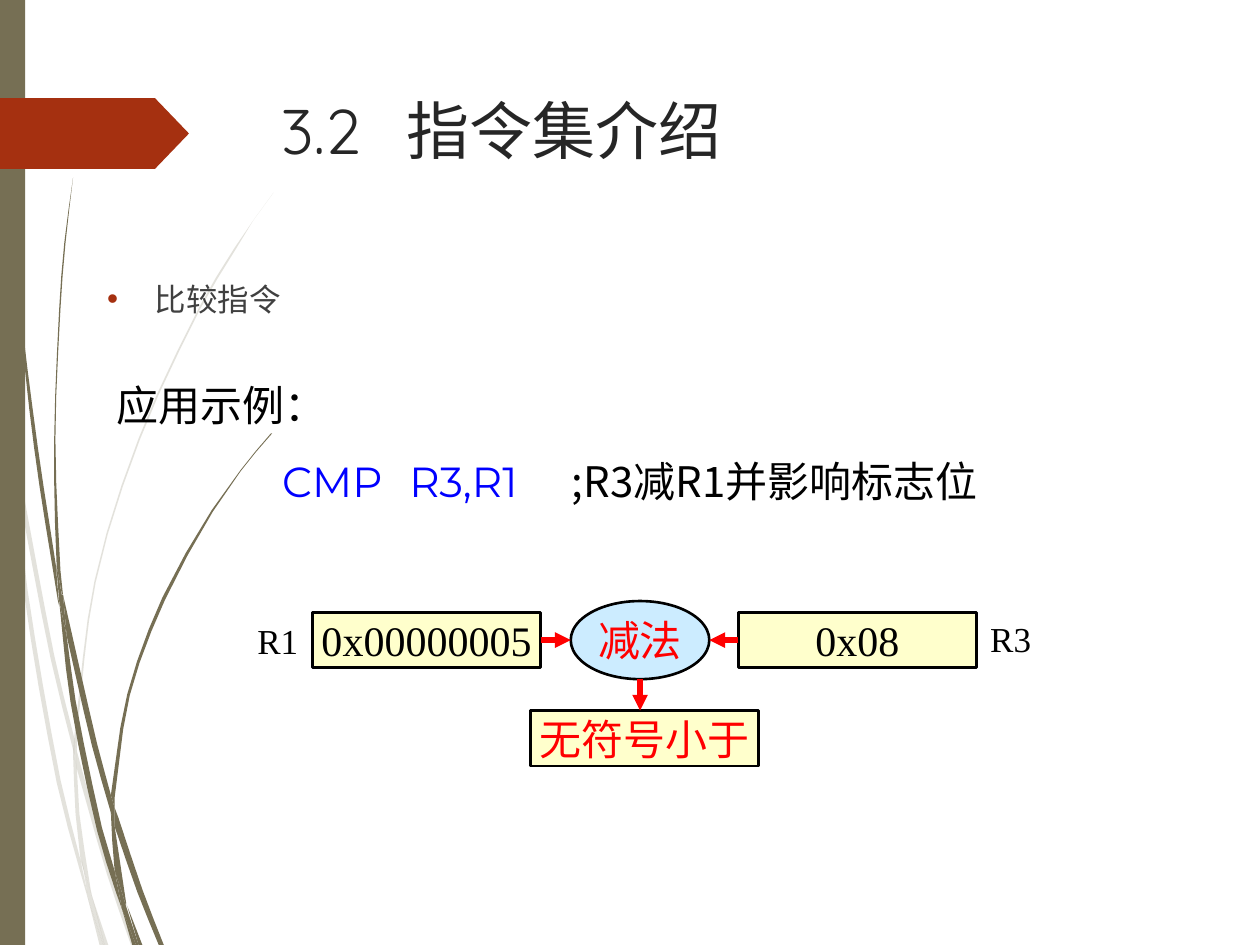
import lxml.etree
import pptx
import pptx.dml.color
import pptx.enum.shapes
import pptx.enum.text
import pptx.oxml
import pptx.oxml.ns
import pptx.util

Pt = pptx.util.Pt
qn = pptx.oxml.ns.qn
KIND = pptx.enum.shapes.MSO_SHAPE
ALIGN = pptx.enum.text.PP_ALIGN
ANCHOR = pptx.enum.text.MSO_ANCHOR
HUES = {"olive": "766F54", "rust": "A53010", "cream": "FFFFCC", "sky": "CCECFF",
        "black": "000000", "red": "FF0000", "blue": "0000FF",
        "title": "262626", "body": "404040"}
RGB = {name: pptx.dml.color.RGBColor.from_string(hue) for name, hue in HUES.items()}

deck = pptx.Presentation()
deck.slide_width, deck.slide_height = pptx.util.Inches(10), pptx.util.Inches(7.5)
cell = deck.slide_width // 1000  # the slide is a grid of 1000 columns by 750 rows
slide = deck.slides.add_slide(deck.slide_layouts[1])
shapes = slide.shapes


def write(par, text, font, size, hue):
    run = par.add_run()
    run.text = text
    for key, value in {"name": font, "size": Pt(size)}.items():
        setattr(run.font, key, value)
    run.font.color.rgb = RGB[hue]
    east = lxml.etree.SubElement(run.font._element, qn("a:ea"))
    east.set("typeface", "Noto Sans CJK JP")


def smooth(edge):
    """Points along a curve through the x, y pairs of one edge."""
    knots = [complex(x, y) for x, y in zip(edge[::2], edge[1::2])]
    ends = [knots[0], *knots, knots[-1]]
    ways = [(b - a) / abs(b - a) for a, b in zip(ends, ends[2:])]
    dots = [knots[0]]
    for a, b, u, v in zip(knots, knots[1:], ways, ways[1:]):
        reach = abs(b - a) / 3
        steps = 1 + int(abs(b - a) / 40)
        for t in (k / steps for k in range(1, steps + 1)):
            s = 1 - t
            dots.append(s**3 * a + 3 * s * s * t * (a + reach * u)
                        + 3 * s * t * t * (b - reach * v) + t**3 * b)
    return [(dot.real * cell, dot.imag * cell) for dot in dots]


# Grass blades: each blade is a closed outline made of its edges
pale = [
    ([8, 350, 6, 322, 0, 282], [0, 299, 7, 344, 8, 350]),
    ([12, 376, 40, 522, 59, 599], [59, 586, 43, 520, 10, 345]),
    ([61, 610, 85, 694, 104, 750], [108, 750, 88, 692, 64, 607, 61, 596]),
    ([73, 711, 83, 750], [86, 750, 73, 711]),
    ([8, 350, 19, 470, 45, 621, 64, 693, 70, 714],
     [69, 707, 64, 683, 48, 619, 22, 469, 12, 376, 8, 350]),
    ([58, 599, 60, 646, 64, 683, 67, 692, 73, 711],
     [72, 706, 63, 646, 61, 610, 61, 608, 58, 599]),
    ([61, 596, 61, 584, 76, 462, 111, 349, 159, 245, 187, 198, 201, 175, 217, 153],
     [217, 153, 201, 175, 186, 197, 158, 244, 110, 348, 75, 461, 59, 584, 59, 586]),
    ([70, 714, 79, 750], [82, 750, 70, 714]),
    ([61, 610, 61, 596], [59, 586, 58, 599, 61, 608]),
    ([67, 692, 65, 683], [69, 707, 70, 714, 82, 750], [83, 750, 73, 711, 67, 692]),
]
dark = [
    ([5, 110, 14, 233, 27, 355, 46, 477, 47, 481],
     [45, 457, 45, 453, 30, 355, 15, 232, 6, 109, 4, 48, 3, 0],
     [2, 0, 3, 48, 5, 110]),
    ([53, 505, 73, 592, 88, 645], [88, 633, 88, 631, 77, 590, 50, 472]),
    ([91, 656, 109, 708, 126, 750], [130, 750, 113, 706, 94, 649, 91, 641]),
    ([47, 477, 56, 557, 77, 659, 92, 708, 97, 722],
     [96, 717, 91, 691, 81, 657, 60, 556, 53, 505, 47, 477]),
    ([50, 472, 48, 453, 44, 349, 48, 245, 52, 193, 58, 141],
     [58, 141, 51, 193, 47, 245, 43, 349, 45, 449, 49, 471]),
    ([101, 719, 110, 750], [113, 750, 101, 719]),
    ([45, 453, 47, 477, 53, 505], [50, 472, 49, 472, 45, 449]),
    ([91, 633, 103, 552, 131, 476, 169, 406, 191, 374, 203, 359, 216, 344],
     [215, 344, 203, 358, 191, 373, 168, 405, 129, 474, 101, 551, 88, 631],
     [88, 631, 91, 641]),
    ([97, 722, 105, 750], [108, 750, 97, 722]),
    ([88, 645, 91, 691, 96, 706, 100, 719], [100, 716, 91, 656, 90, 651, 88, 645]),
    ([88, 645, 91, 656], [91, 641, 88, 631, 88, 633]),
    ([96, 706, 91, 691], [96, 717, 97, 722, 108, 750], [110, 750, 100, 719, 96, 706]),
]
for blades, alpha in ((pale, 20), (dark, 100)):
    tuft = shapes.add_group_shape()
    for blade in blades:
        dots = [dot for edge in blade for dot in smooth(edge)]
        pen = tuft.shapes.build_freeform(*dots[0], scale=1.0)
        pen.add_line_segments(dots[1:], close=True)
        leaf = pen.convert_to_shape()
        leaf.shadow.inherit = False
        leaf.line.fill.background()
        leaf.fill.solid()
        leaf.fill.fore_color.rgb = RGB["olive"]
        if alpha < 100:
            tint = leaf._element.spPr.find(".//" + qn("a:srgbClr"))
            lxml.etree.SubElement(tint, qn("a:alpha")).set("val", str(alpha * 1000))

# Side bar, title flag and the boxes of the subtraction diagram
boxes = {}
for name, kind, place, fill, text, hue in (
    ("bar", KIND.RECTANGLE, (0, 0, 20, 750), "olive", "", ""),
    ("flag", KIND.PENTAGON, (0, 78, 150, 56), "rust", "", ""),
    ("left", KIND.RECTANGLE, (248, 486, 181, 44), "cream", "0x00000005", "black"),
    ("right", KIND.RECTANGLE, (586, 486, 189, 44), "cream", "0x08", "black"),
    ("minus", KIND.OVAL, (453, 477, 110, 62), "sky", "减法", "red"),
    ("result", KIND.RECTANGLE, (421, 564, 181, 44), "cream", "无符号小于", "red"),
):
    box = boxes[name] = shapes.add_shape(kind, *(cell * n for n in place))
    box.shadow.inherit = False
    box.fill.solid()
    box.fill.fore_color.rgb = RGB[fill]
    if not text:
        box.line.fill.background()
        continue
    box.line.color.rgb = RGB["black"]
    box.line.width = Pt(1.5)
    frame = box.text_frame
    frame.word_wrap = False
    frame.vertical_anchor = ANCHOR.MIDDLE
    frame.paragraphs[0].alignment = ALIGN.CENTER
    write(frame.paragraphs[0], text, "Times New Roman", 24, hue)
boxes["flag"].adjustments[0] = 0.48

for text, place in (("R1", (185, 485, 71, 47)), ("R3", (776, 485, 55, 44))):
    label = shapes.add_textbox(*(cell * n for n in place))
    label.text_frame.vertical_anchor = ANCHOR.MIDDLE
    label.text_frame.word_wrap = True
    par = label.text_frame.paragraphs[0]
    par.alignment = ALIGN.CENTER if text == "R1" else ALIGN.LEFT
    write(par, text, "Times New Roman", 20, "black")

for start, site, ends in (("left", 3, (429, 508, 453, 508)),
                          ("right", 1, (586, 508, 563, 508)),
                          ("minus", None, (508, 539, 508, 564))):
    arrow = shapes.add_connector(pptx.enum.shapes.MSO_CONNECTOR.STRAIGHT,
                                 *(cell * n for n in ends))
    if site is not None:
        arrow.begin_connect(boxes[start], site)
    arrow.line.color.rgb = RGB["red"]
    arrow.line.width = Pt(3)
    props = arrow._element.spPr
    lxml.etree.SubElement(props.find(qn("a:ln")), qn("a:tailEnd")).set("type", "triangle")
    lxml.etree.SubElement(props, qn("a:effectLst"))

# Title, bullet and example
title, body = shapes.title, slide.placeholders[1]
note = shapes.add_textbox(*(cell * n for n in (83, 296, 858, 111)))
for item, place in ((title, (213, 68, 721, 140)), (body, (75, 217, 850, 75))):
    for side, n in zip(("left", "top", "width", "height"), place):
        setattr(item, side, cell * n)
    item.element.getparent().append(item.element)
for item in (title, body, note):
    for key, value in {"word_wrap": True, "vertical_anchor": ANCHOR.TOP,
                       "auto_size": pptx.enum.text.MSO_AUTO_SIZE.NONE}.items():
        setattr(item.text_frame, key, value)
head, point, lead = (item.text_frame.paragraphs[0] for item in (title, body, note))
code = note.text_frame.add_paragraph()
for par, stops in ((head, [100]), (code, [131, 232, 361])):
    tabs = lxml.etree.SubElement(par._element.get_or_add_pPr(), qn("a:tabLst"))
    for stop in stops:
        tab = lxml.etree.SubElement(tabs, qn("a:tab"))
        tab.set("pos", str(stop * cell))
        tab.set("algn", "l")
props = point._element.get_or_add_pPr()
props.set("marL", str(38 * cell))
props.set("indent", str(-38 * cell))
hue = lxml.etree.SubElement(props, qn("a:buClr"))
lxml.etree.SubElement(hue, qn("a:srgbClr")).set("val", HUES["rust"])
lxml.etree.SubElement(props, qn("a:buChar")).set("char", "•")
for par in (head, point, lead, code):
    par.alignment = ALIGN.LEFT
    par.space_before = Pt(15 if par is code else 0)
write(head, "3.2\t指令集介绍", "Quicksand", 36, "title")
write(point, "比较指令", "Quicksand", 18, "body")
write(lead, "应用示例：", "Montserrat", 24, "black")
write(code, "\tCMP\tR3,R1\t", "Montserrat", 24, "blue")
write(code, ";R3减R1并影响标志位", "Noto Sans CJK JP", 24, "black")

deck.save("out.pptx")
